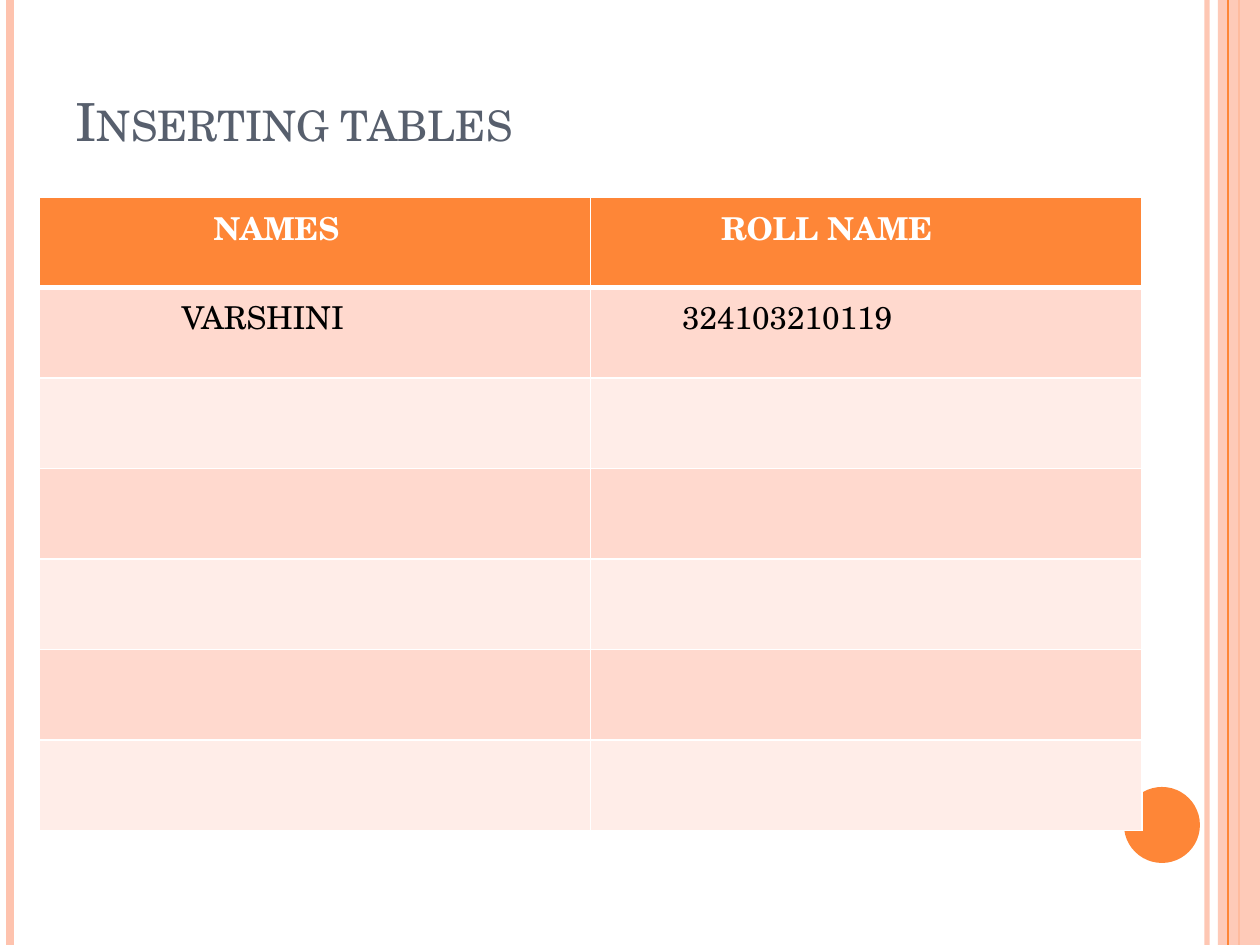
from pptx import Presentation
from pptx.dml.color import RGBColor
from pptx.enum.shapes import MSO_CONNECTOR, MSO_SHAPE
from pptx.enum.text import MSO_ANCHOR, MSO_AUTO_SIZE, PP_ALIGN
from pptx.oxml import parse_xml
from pptx.oxml.ns import nsdecls, qn
from pptx.oxml.xmlchemy import OxmlElement
from pptx.util import Emu, Pt

COLORS = {
    "orange": "FE8637",
    "peach": "FEC3AE",
    "band_dark": "FFD9CE",
    "band_light": "FFEDE8",
    "slate": "575F6D",
    "white": "FFFFFF",
    "black": "000000",
}


class SlideBuilder:
    """Holds the style and current slide and draws each kind of element."""

    font = "TeX Gyre Schola"
    scale = 914400 / 126

    def __init__(self, prs):
        self.s = prs.slides.add_slide(prs.slide_layouts[5])

    def px(self, *values):
        return [Emu(round(v * self.scale)) for v in values]

    def color(self, name):
        return RGBColor.from_string(COLORS[name])

    def alpha(self, sp, percent):
        clr = sp._element.spPr.find(".//" + qn("a:srgbClr"))
        a = OxmlElement("a:alpha")
        a.set("val", str(percent * 1000))
        clr.append(a)

    def run(self, p, text, size, color, bold=False):
        r = p.add_run()
        r.text = text
        r.font.name = self.font
        r.font.size = Pt(size)
        r.font.bold = bold
        r.font.color.rgb = self.color(color)
        return r

    def vline(self, x, color, width, opacity=100):
        ln = self.s.shapes.add_connector(MSO_CONNECTOR.STRAIGHT, *self.px(x, 0, x, 945))
        ln.line.color.rgb = self.color(color)
        ln.line.width = Pt(width)
        ln._element.spPr.append(OxmlElement("a:effectLst"))
        if opacity < 100:
            self.alpha(ln, opacity)

    def shape(self, kind, box, color, opacity=100):
        sp = self.s.shapes.add_shape(kind, *self.px(*box))
        sp.shadow.inherit = False
        sp.fill.solid()
        sp.fill.fore_color.rgb = self.color(color)
        sp.line.fill.background()
        if opacity < 100:
            self.alpha(sp, opacity)

    def title(self, text, box):
        sp = self.s.shapes.title
        sp.left, sp.top, sp.width, sp.height = self.px(*box)
        tf = sp.text_frame
        tf.auto_size = MSO_AUTO_SIZE.NONE
        tf.vertical_anchor = MSO_ANCHOR.BOTTOM
        p = tf.paragraphs[0]
        p.alignment = PP_ALIGN.LEFT
        r = self.run(p, text, 30, "slate")
        r.font._element.set("cap", "small")

    def borders(self, cell, bottom):
        tcPr = cell._tc.get_or_add_tcPr()
        for i, (side, width) in enumerate(zip("LRTB", (1, 1, 1, bottom))):
            tcPr.insert(i, parse_xml(
                f'<a:ln{side} {nsdecls("a")} w="{Pt(width)}"><a:solidFill>'
                f'<a:srgbClr val="{COLORS["white"]}"/></a:solidFill></a:ln{side}>'))

    def table(self, box, rows, cols, texts):
        tbl = self.s.shapes.add_table(rows, cols, *self.px(*box)).table
        for i in range(rows):
            header = i == 0
            fill = "orange" if header else ("band_light", "band_dark")[i % 2]
            for j in range(cols):
                cell = tbl.cell(i, j)
                cell.fill.solid()
                cell.fill.fore_color.rgb = self.color(fill)
                self.borders(cell, 3 if header else 1)
                if i < len(texts):
                    text, indent = texts[i][j]
                    p = cell.text_frame.paragraphs[0]
                    p._p.get_or_add_pPr().set("marL", str(self.px(indent)[0]))
                    self.run(p, text, 18, "white" if header else "black", header)


def main():
    prs = Presentation()
    b = SlideBuilder(prs)
    prs.slide_width, prs.slide_height = b.px(1260, 945)
    b.vline(1207, "peach", 3, 93)
    b.vline(10, "peach", 4.5)
    b.vline(1239, "orange", 1.5)
    b.shape(MSO_SHAPE.RECTANGLE, (1218, 0, 42, 945), "peach", 87)
    b.vline(1228, "orange", 0.75)
    b.shape(MSO_SHAPE.OVAL, (1124, 787, 76, 76), "orange")
    b.title("Inserting tables", (63, 38, 1029, 120))
    b.table((39, 197, 1103, 634), 7, 2, [
        [("NAMES", 162), ("ROLL NAME", 118)],
        [("VARSHINI", 130), ("324103210119", 79)],
    ])
    prs.save("out.pptx")


if __name__ == "__main__":
    main()
